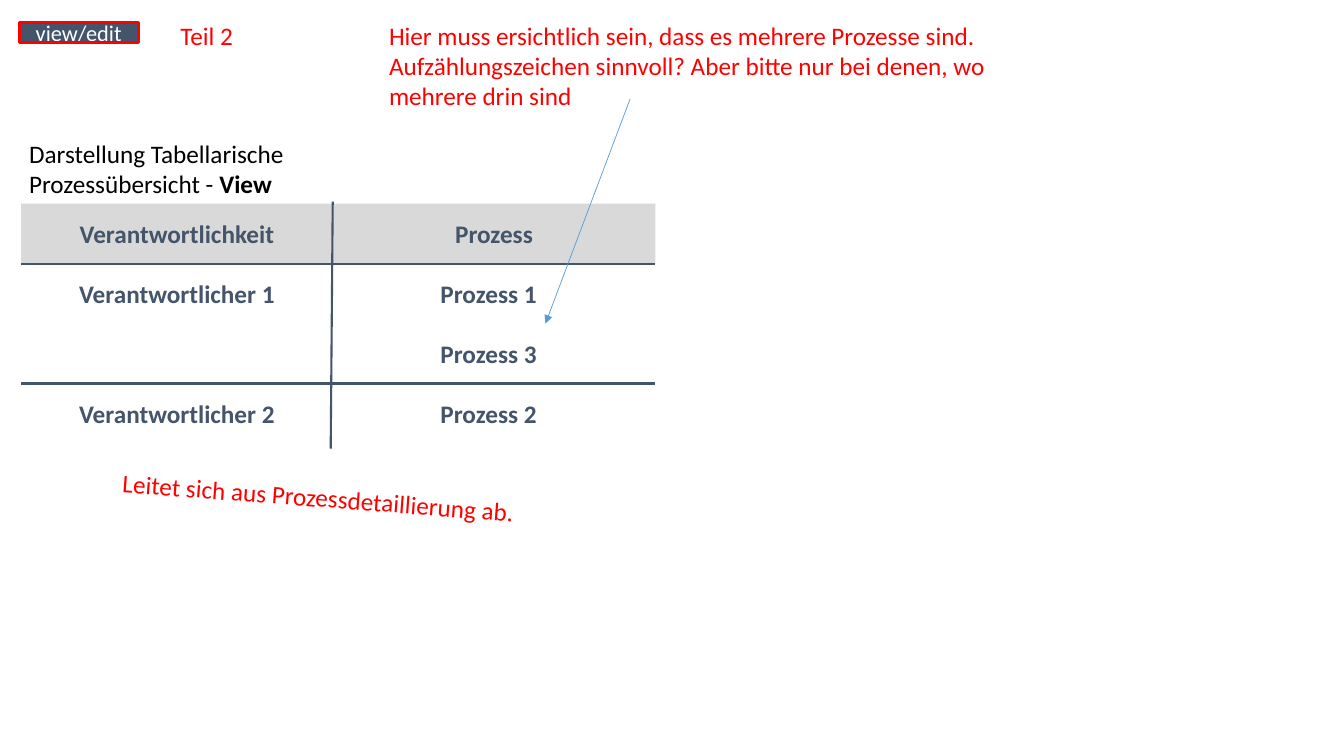
from dataclasses import dataclass

from lxml import etree
from pptx import Presentation
from pptx import util as u
from pptx.dml.color import RGBColor
from pptx.enum import shapes, text
from pptx.oxml.ns import qn


@dataclass(frozen=True)
class Theme:
    font: str = "Calibri"
    slate: str = "44546A"
    header: str = "D9D9D9"
    white: str = "FFFFFF"
    black: str = "000000"
    red: str = "FF0000"
    blue: str = "5B9BD5"
    body: int = 18
    button: int = 16


T = Theme()
LEFT, MIDDLE, RIGHT = 0.21, 3.3, 6.5
TOP, ROW_H, COL_W = 2.02, 0.595, 3.09


def set_attrs(obj, **values):
    for name, value in values.items():
        setattr(obj, name, value)


def add_runs(p, runs, color, size=T.body):
    for words, bold in runs:
        r = p.add_run()
        r.text = words
        set_attrs(r.font, name=T.font, size=u.Pt(size), bold=bold)
        r.font.color.rgb = RGBColor.from_string(color)


def add_box(slide, box, fill=None, line=None):
    sp = slide.shapes.add_shape(shapes.MSO_SHAPE.RECTANGLE, *map(u.Inches, box))
    sp.shadow.inherit = False
    if fill:
        sp.fill.solid()
        sp.fill.fore_color.rgb = RGBColor.from_string(fill)
    else:
        sp.fill.background()
    if line:
        sp.line.color.rgb = RGBColor.from_string(line)
        sp.line.width = u.Pt(2.25)
    else:
        sp.line.fill.background()
    return sp


def add_label(slide, box, words, fill, color=T.slate, size=T.body, bold=True):
    tf = add_box(slide, box, fill).text_frame
    set_attrs(tf, word_wrap=True, vertical_anchor=text.MSO_ANCHOR.MIDDLE)
    p = tf.paragraphs[0]
    p.alignment = text.PP_ALIGN.CENTER
    add_runs(p, [(words, bold)], color, size)


def add_text(slide, box, runs, color=T.red, wrap=True, rotation=0):
    sp = slide.shapes.add_textbox(*map(u.Inches, box))
    sp.rotation = rotation
    set_attrs(sp.text_frame, word_wrap=wrap,
              auto_size=text.MSO_AUTO_SIZE.SHAPE_TO_FIT_TEXT)
    add_runs(sp.text_frame.paragraphs[0], runs, color)


def add_line(slide, start, end, color=T.slate, width=1.5, arrow=False):
    cx = slide.shapes.add_connector(shapes.MSO_CONNECTOR.STRAIGHT,
                                    *map(u.Inches, start + end))
    cx.line.color.rgb = RGBColor.from_string(color)
    cx.line.width = u.Pt(width)
    if arrow:
        etree.SubElement(cx.line._get_or_add_ln(), qn("a:tailEnd"), type="triangle")
    etree.SubElement(cx._element.spPr, qn("a:effectLst"))


def add_process_table(slide):
    rows = [("Verantwortlichkeit", "Prozess"),
            ("Verantwortlicher 1", "Prozess 1"),
            (None, "Prozess 3"),
            ("Verantwortlicher 2", "Prozess 2")]
    for i, (owner, process) in enumerate(rows):
        y = TOP + i * ROW_H
        fill = T.white if i else T.header
        process_w = COL_W if i else RIGHT - MIDDLE
        if owner:
            add_label(slide, (LEFT, y, COL_W, ROW_H), owner, fill)
        add_label(slide, (MIDDLE, y, process_w, ROW_H), process, fill)
    for i in (1, 3):
        y = TOP + i * ROW_H
        add_line(slide, (LEFT, y), (RIGHT, y))
    add_line(slide, (MIDDLE, 2), (3.28, 4.45))


def main():
    prs = Presentation()
    set_attrs(prs, slide_width=u.Inches(13.33), slide_height=u.Inches(7.5))
    slide = prs.slides.add_slide(prs.slide_layouts[6])

    button = (0.19, 0.22, 1.18, 0.2)
    add_label(slide, button, "view/edit", T.slate, T.white, T.button, False)
    add_box(slide, button, line=T.red)

    add_process_table(slide)
    add_text(slide, (0.19, 1.32, 2.98, 0.71),
             [("Darstellung Tabellarische Prozessübersicht - ", False), ("View", True)],
             T.black)
    add_text(slide, (1.69, 0.15, 0.73, 0.4), [("Teil 2", False)], wrap=False)
    add_text(slide, (3.76, 0.15, 6.92, 1.01),
             [("Hier muss ersichtlich sein, dass es mehrere Prozesse sind. "
               "Aufzählungszeichen sinnvoll? Aber bitte nur bei denen, "
               "wo mehrere drin sind", False)])
    add_line(slide, (6.25, 0.98), (5.41, 3.21), T.blue, 0.5, arrow=True)
    add_text(slide, (1.11, 4.84, 6.96, 0.4),
             [("Leitet sich aus Prozessdetaillierung ab.", False)], rotation=4.3)

    prs.save("out.pptx")


if __name__ == "__main__":
    main()
